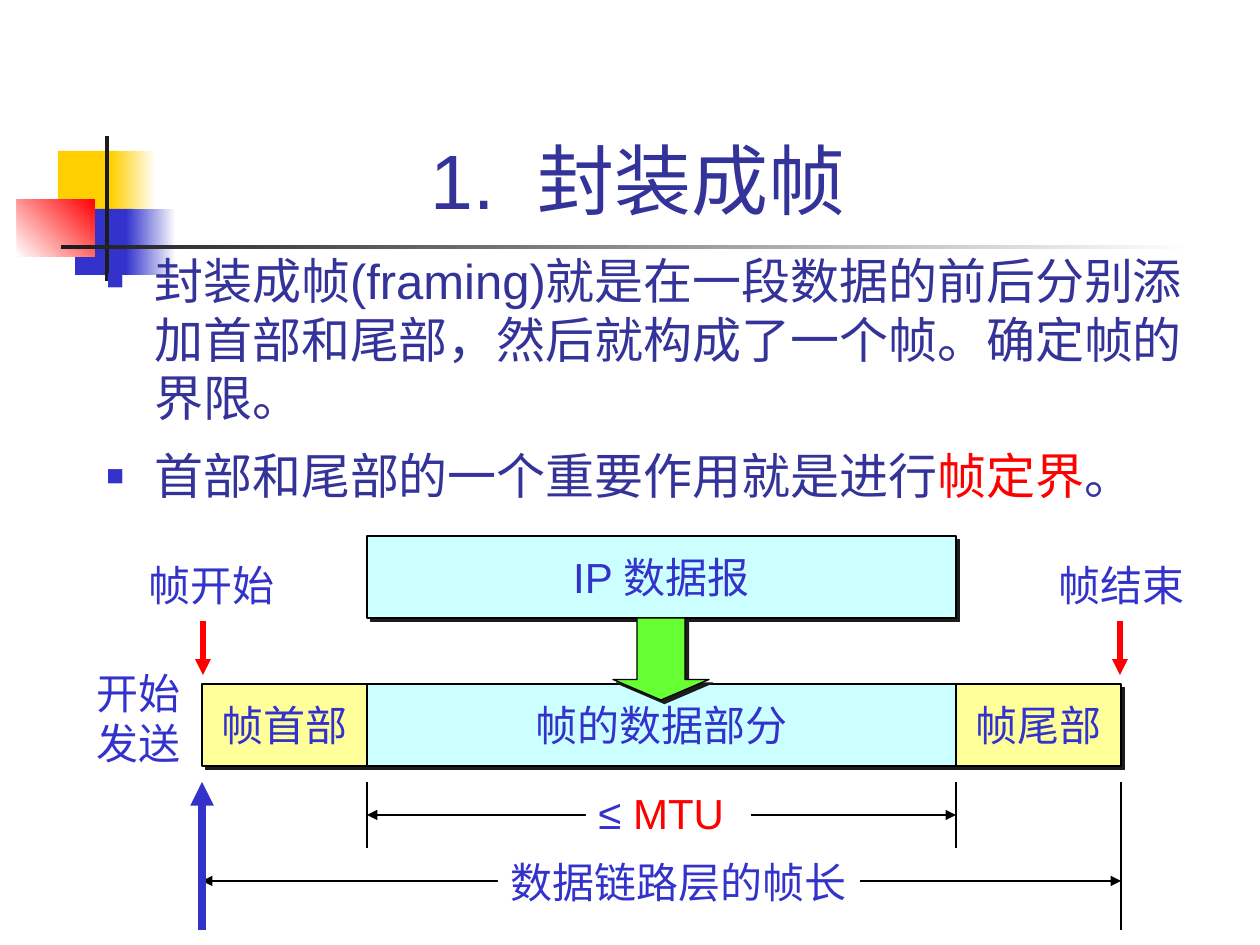
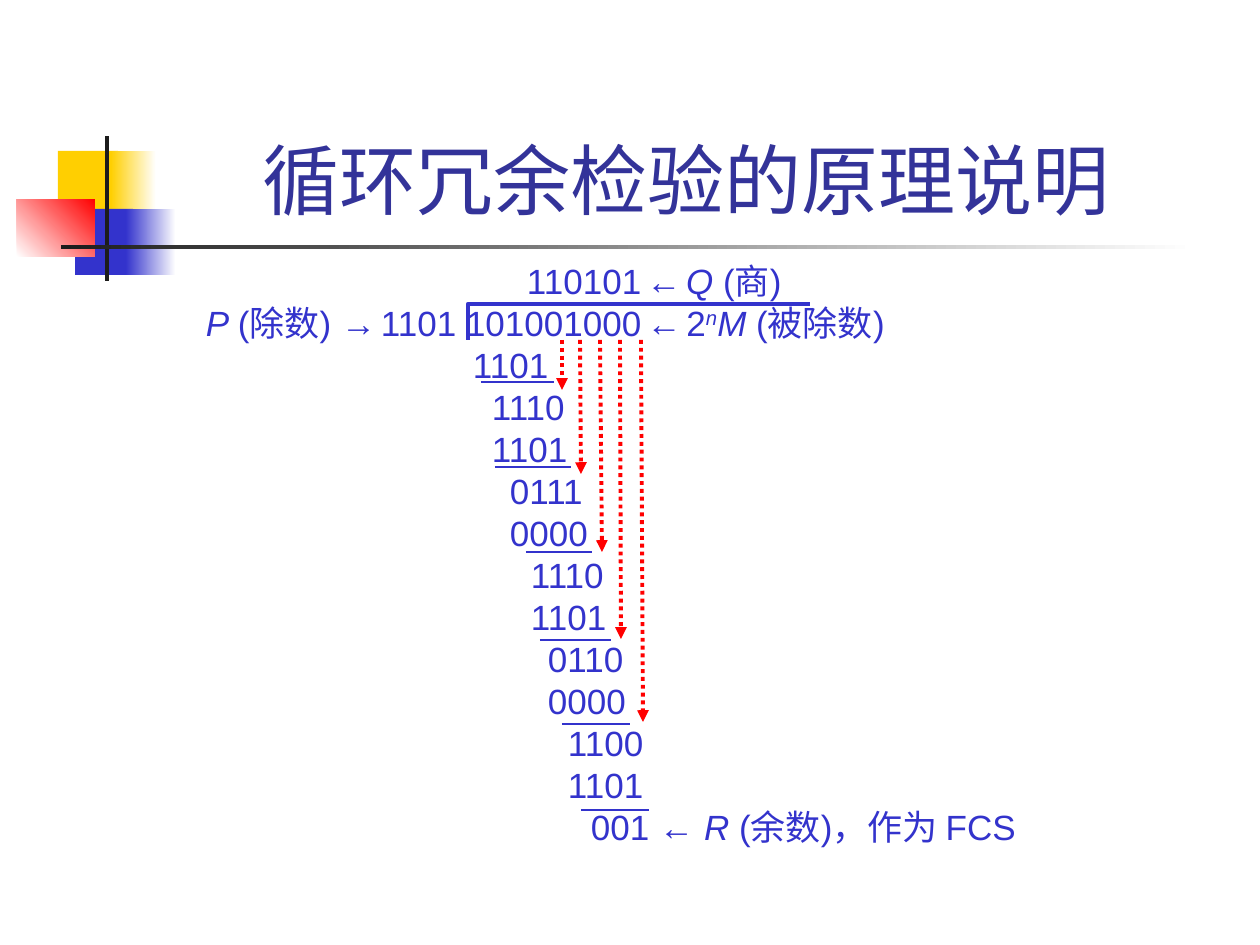
import pptx
import pptx.util
import pptx.dml.color
import pptx.enum.dml
import pptx.enum.shapes
import pptx.enum.text
import pptx.oxml
import pptx.oxml.ns

COLORS = {
    "white": "FFFFFF", "black": "000000", "ink": "1C1C1C", "title": "333399",
    "blue": "3333CC", "red": "FF0000", "gold": "FFCF01", "yellow": "FFFF99",
    "cyan": "CCFFFF", "green": "66FF33",
}
FONT = "Arial"
SHAPE = pptx.enum.shapes.MSO_SHAPE
ALIGN = pptx.enum.text.PP_ALIGN
ANCHOR = pptx.enum.text.MSO_ANCHOR
qn = pptx.oxml.ns.qn


def px(n):
    return round(n * 914400 / 126)


def rgb(name):
    return pptx.dml.color.RGBColor.from_string(COLORS[name])


def sub(parent, tag, **attrs):
    el = parent.makeelement(qn(tag), attrs)
    parent.append(el)
    return el


def add_run(p, text, size=24, color="blue", bold=False, italic=False, **attrs):
    """attrs are further run attributes, such as spc or baseline."""
    r = p.add_run()
    r.text = text
    f = r.font
    f.name, f.size, f.bold, f.italic = FONT, pptx.util.Pt(size), bold, italic
    f.color.rgb = rgb(color)
    for key, value in attrs.items():
        r._r.get_or_add_rPr().set(key, value)


def add_box(s, x, y, w, h, fill, line=None, shadow=False, shape=SHAPE.RECTANGLE):
    sp = s.shapes.add_shape(shape, px(x), px(y), px(w), px(h))
    sp.shadow.inherit = False
    if isinstance(fill, tuple):
        start, end, angle = fill
        sp.fill.gradient()
        sp.fill.gradient_angle = angle
        for stop, name in zip(sp.fill.gradient_stops, (start, end)):
            stop.color.rgb = rgb(name)
    else:
        sp.fill.solid()
        sp.fill.fore_color.rgb = rgb(fill)
    if line:
        sp.line.color.rgb = rgb(line)
        sp.line.width = pptx.util.Pt(0.75)
    else:
        sp.line.fill.background()
    if shadow:
        effects = sp._element.spPr.find(qn("a:effectLst"))
        outer = sub(effects, "a:outerShdw", blurRad="0", dist="35560",
                    dir="2700000", algn="ctr", rotWithShape="0")
        sub(outer, "a:srgbClr", val=COLORS["ink"])
    return sp


def add_block(s, x, y, w, h, fill, text):
    sp = add_box(s, x, y, w, h, fill, "black", True)
    tf = sp.text_frame
    tf.word_wrap = False
    tf.vertical_anchor = ANCHOR.MIDDLE
    p = tf.paragraphs[0]
    p.alignment = ALIGN.CENTER
    add_run(p, text)


def add_label(s, x, y, w, h, *lines):
    """Each line is a list of (text, colour) pieces."""
    tf = add_box(s, x, y, w, h, "white").text_frame
    tf.word_wrap = False
    tf.vertical_anchor = ANCHOR.TOP
    for i, pieces in enumerate(lines):
        p = tf.add_paragraph() if i else tf.paragraphs[0]
        p.alignment = ALIGN.LEFT
        for text, color in pieces:
            add_run(p, text, color=color)


def add_line(s, x1, y1, x2, y2, color="black", width=0.75, ends=(), dotted=False):
    cn = s.shapes.add_connector(pptx.enum.shapes.MSO_CONNECTOR.STRAIGHT,
                                px(x1), px(y1), px(x2), px(y2))
    cn.line.color.rgb = rgb(color)
    cn.line.width = pptx.util.Pt(width)
    if dotted:
        cn.line.dash_style = pptx.enum.dml.MSO_LINE.ROUND_DOT
    ln = cn.line._get_or_add_ln()
    for end in ends:
        sub(ln, "a:" + end, type="triangle")
    sub(cn._element.spPr, "a:effectLst")


# Shared corner ornament and rule
def add_ornament(s, x, y):
    for dx, dy, w, h, fill in (
        (41, 15, 60, 66, "gold"),
        (94, 15, 45, 66, ("gold", "white", 0)),
        (58, 73, 58, 66, "blue"),
        (109, 73, 50, 66, ("blue", "white", 0)),
        (0, 63, 78, 58, ("white", "red", 45)),
        (88, 0, 4, 145, "ink"),
        (44, 109, 1134, 4, ("ink", "white", 0)),
    ):
        add_box(s, x + dx, y + dy, w, h, fill)


def new_slide(prs, title_width, *pieces):
    """Pieces of the title are (text, extra run attributes)."""
    s = prs.slides.add_slide(prs.slide_layouts[5])
    add_ornament(s, 17, 136)
    sp = s.shapes.title
    sp.left, sp.top, sp.width, sp.height = map(px, (159, 29, title_width, 202))
    tf = sp.text_frame
    tf.auto_size = pptx.enum.text.MSO_AUTO_SIZE.NONE
    tf.vertical_anchor = ANCHOR.BOTTOM
    p = tf.paragraphs[0]
    p.alignment = ALIGN.CENTER
    for text, attrs in pieces:
        add_run(p, text, size=44, color="title", **attrs)
    return s


def add_text_box(s, x, y, w, h):
    tf = s.shapes.add_textbox(px(x), px(y), px(w), px(h)).text_frame
    tf.word_wrap = True
    return tf


# Bulleted statements
def add_bullets(s, x, y, w, h, items):
    tf = add_text_box(s, x, y, w, h)
    for i, pieces in enumerate(items):
        p = tf.add_paragraph() if i else tf.paragraphs[0]
        p.space_before = pptx.util.Pt(11 if i else 0)
        pPr = p._p.get_or_add_pPr()
        pPr.set("marL", str(px(48)))
        pPr.set("indent", str(-px(48)))
        sub(sub(pPr, "a:buClr"), "a:srgbClr", val=COLORS["blue"])
        sub(pPr, "a:buSzPct", val="60000")
        sub(pPr, "a:buFont", typeface=FONT)
        sub(pPr, "a:buChar", char="■")
        for text, color in pieces:
            add_run(p, text, size=28, color=color)


# Frame with header, data and trailer, and its dimensions
def add_frame_diagram(s, x, y, w, h):
    edge, bar = 165, 82
    data_x, data_w = x + edge, w - 2 * edge
    right, tail_x = x + w, x + w - edge
    frame_y, gauge_y = y + 148, y + 246
    bottom = y + h

    add_label(s, right - 75, y + 17, 151, 63, [("帧结束", "blue")])
    add_block(s, x, frame_y, edge, bar, "yellow", "帧首部")
    add_block(s, data_x, y, data_w, bar, "cyan", "IP 数据报")
    add_block(s, data_x, frame_y, data_w, bar, "cyan", "帧的数据部分")
    add_block(s, tail_x, frame_y, edge, bar, "yellow", "帧尾部")

    # Dimension lines
    both = ("headEnd", "tailEnd")
    add_line(s, data_x, gauge_y + 33, tail_x, gauge_y + 33, ends=both)
    add_line(s, x, gauge_y + 99, right, gauge_y + 99, ends=both)
    add_line(s, x, bottom, x, gauge_y, "blue", 4.5, ["tailEnd"])
    add_line(s, right, gauge_y, right, bottom)
    for gauge_x in (data_x, tail_x):
        add_line(s, gauge_x, gauge_y, gauge_x, gauge_y + 66)
    add_label(s, x + 384, gauge_y - 1, 165, 63, [("≤ ", "blue"), ("MTU", "red")])
    add_label(s, x + 296, gauge_y + 68, 362, 63, [("数据链路层的帧长", "blue")])

    # Datagram goes into the data part
    arrow = add_box(s, x + 411, y + bar, 96, 82, "green", "black", True, SHAPE.DOWN_ARROW)
    arrow.adjustments[0], arrow.adjustments[1] = 0.5, 0.25

    # Start and end marks
    add_label(s, x - 118, y + 125, 110, 113, [("开始", "blue")], [("发送", "blue")])
    for mark_x in (x + 1, right - 1):
        add_line(s, mark_x, y + 85, mark_x, y + 139, "red", 3, ["tailEnd"])
    add_label(s, x - 66, y + 17, 151, 63, [("帧开始", "blue")])


# Long division
GAP = (" ", {"size": 10})
LEFT_ARROW = [GAP, ("←", {}), GAP]
ITALIC = {"italic": True}
DIVISION_ROWS = [
    (369, [("110101", {}), *LEFT_ARROW, ("Q ", ITALIC), ("(商)", {})]),
    (48, [("P ", ITALIC), ("(除数) ", {}), ("→", {"bold": True}), GAP,
          ("1101 101001000", {}), *LEFT_ARROW, ("2", {}),
          ("n", {"italic": True, "baseline": "30000"}), ("M ", ITALIC), ("(被除数)", {})]),
    *[(indent, [(digits, {})]) for indent, digits in (
        (315, "1101"), (334, "1110"), (334, "1101"), (352, "0111"), (352, "0000"),
        (373, "1110"), (373, "1101"), (390, "0110"), (390, "0000"),
        (410, "1100"), (410, "1101"))],
    (433, [("001 ← ", {}), ("R", ITALIC), (" (余数)，作为 FCS", {})]),
]
# Brought-down digits: top x, bottom x, bottom y
DROPS = [(404, 404, 137), (422, 423, 221), (442, 444, 299), (462, 463, 386), (483, 485, 469)]
# Subtraction rules: left, right, y
RULES = [(323, 396, 129), (337, 413, 214), (368, 434, 299),
         (382, 453, 387), (404, 472, 471), (423, 491, 557)]


def add_division(s, x, y, w, h):
    tf = add_text_box(s, x, y, w, h)
    tf.margin_left = 0
    for i, (indent, pieces) in enumerate(DIVISION_ROWS):
        p = tf.add_paragraph() if i else tf.paragraphs[0]
        p.line_spacing = pptx.util.Pt(24)
        p._p.get_or_add_pPr().set("marL", str(px(indent)))
        for text, fmt in pieces:
            add_run(p, text, **{"size": 20, **fmt})

    # Division bracket
    corners = [(px(x + dx), px(y + dy)) for dx, dy in ((310, 87), (310, 51), (652, 51))]
    fb = s.shapes.build_freeform(*corners[0])
    fb.add_line_segments(corners[1:], close=False)
    bracket = fb.convert_to_shape()
    bracket.shadow.inherit = False
    bracket.fill.background()
    bracket.line.color.rgb = rgb("blue")
    bracket.line.width = pptx.util.Pt(2.25)

    for top_x, end_x, end_y in DROPS:
        add_line(s, x + top_x, y + 87, x + end_x, y + end_y, "red", 2.25, ["tailEnd"], True)
    for left, right, rule_y in RULES:
        add_line(s, x + left, y + rule_y, x + right, y + rule_y, "blue", 1.5)


def main():
    prs = pptx.Presentation()
    prs.slide_width, prs.slide_height = px(1260), px(945)

    s = new_slide(prs, 958, ("1.", {}), (" ", {"spc": "1200"}), ("封装成帧", {}))
    add_bullets(s, 94, 244, 1120, 277, [
        [("封装成帧(framing)就是在一段数据的前后分别添加首部和尾部，"
          "然后就构成了一个帧。确定帧的界限。", "title")],
        [("首部和尾部的一个重要作用就是进行", "title"), ("帧定界", "red"), ("。", "title")],
    ])
    add_frame_diagram(s, 202, 536, 919, 394)

    s = new_slide(prs, 1073, ("循环冗余检验的原理说明 ", {}))
    add_division(s, 158, 253, 1081, 601)

    prs.save("out.pptx")


if __name__ == "__main__":
    main()
